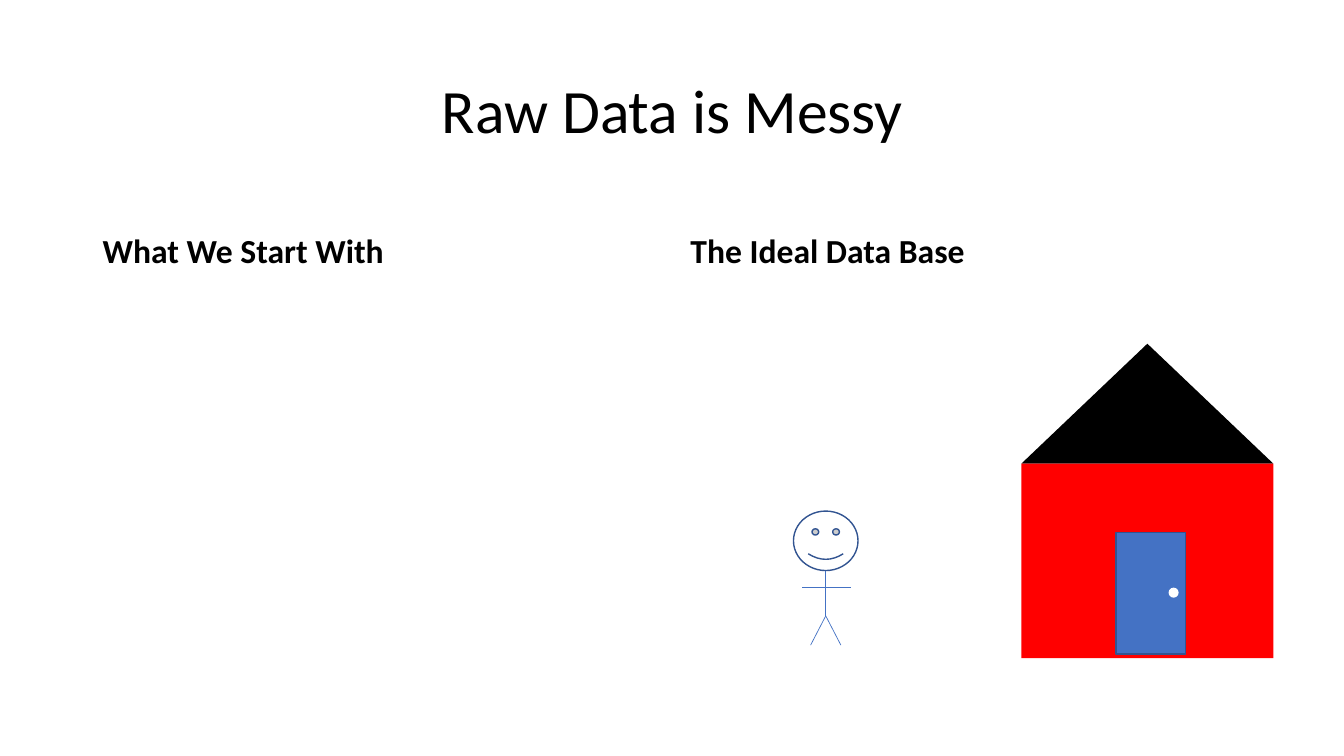
from dataclasses import dataclass

from lxml import etree
from pptx import Presentation
from pptx.dml.color import RGBColor
from pptx.enum.shapes import MSO_CONNECTOR, MSO_SHAPE
from pptx.enum.text import MSO_ANCHOR, MSO_AUTO_SIZE, PP_ALIGN
from pptx.oxml.ns import qn
from pptx.slide import Slide
from pptx.text.text import TextFrame
from pptx.util import Pt

PX = 9144  # EMU per px, 100 px to the inch
TITLE_ONLY = 5
FONT = "Calibri"

BLACK, WHITE, RED = "000000", "FFFFFF", "FF0000"
BLUE, DARK_BLUE = "4472C4", "325491"

STRAIGHT = MSO_CONNECTOR.STRAIGHT
TRIANGLE = MSO_SHAPE.ISOSCELES_TRIANGLE
RECTANGLE = MSO_SHAPE.RECTANGLE
OVAL = MSO_SHAPE.OVAL
SMILEY = MSO_SHAPE.SMILEY_FACE
LEFT, CENTER = PP_ALIGN.LEFT, PP_ALIGN.CENTER
MIDDLE, BOTTOM = MSO_ANCHOR.MIDDLE, MSO_ANCHOR.BOTTOM
NO_AUTOFIT = MSO_AUTO_SIZE.NONE


@dataclass(frozen=True)
class Box:
    left: int
    top: int
    width: int
    height: int

    def emu(self) -> tuple[int, int, int, int]:
        return self.left * PX, self.top * PX, self.width * PX, self.height * PX


@dataclass(frozen=True)
class Part:
    preset: MSO_SHAPE
    box: Box
    fill: str
    outline: str | None = None


@dataclass(frozen=True)
class Limb:
    start: tuple[int, int]
    end: tuple[int, int]


@dataclass(frozen=True)
class Heading:
    text: str
    box: Box


TITLE_BOX = Box(92, 40, 1150, 145)
HEADINGS = [
    Heading("What We Start With", Box(92, 184, 564, 90)),
    Heading("The Ideal Data Base", Box(675, 184, 567, 90)),
]

HOUSE_AND_FACE = [
    Part(TRIANGLE, Box(1013, 341, 250, 119), BLACK),
    Part(RECTANGLE, Box(1013, 460, 250, 193), RED),
    Part(RECTANGLE, Box(1107, 528, 69, 121), BLUE, DARK_BLUE),
    Part(OVAL, Box(1159, 583, 10, 10), WHITE),
    Part(SMILEY, Box(787, 507, 64, 59), WHITE, DARK_BLUE),
]

NECK, HIP = (819, 566), (819, 611)
LIMBS = [
    Limb(NECK, HIP),
    Limb((844, 583), (795, 583)),
    *(Limb(HIP, (HIP[0] + step, 640)) for step in (15, -15)),
]


def rgb(value: str) -> RGBColor:
    return RGBColor.from_string(value)


def write(frame: TextFrame, text: str, size: int, align: PP_ALIGN,
          anchor: MSO_ANCHOR, bold: bool = False, space_before: int = 0) -> None:
    frame.word_wrap = True
    frame.auto_size = NO_AUTOFIT
    frame.vertical_anchor = anchor
    paragraph = frame.paragraphs[0]
    paragraph.alignment = align
    paragraph.line_spacing = 0.9
    paragraph.space_before = Pt(space_before)
    run = paragraph.add_run()
    run.text = text
    run.font.name = FONT
    run.font.size = Pt(size)
    run.font.bold = bold
    run.font.color.rgb = rgb(BLACK)


def add_title(slide: Slide, text: str) -> None:
    title = slide.shapes.title
    title.left, title.top, title.width, title.height = TITLE_BOX.emu()
    write(title.text_frame, text, 44, CENTER, MIDDLE)


def add_heading(slide: Slide, heading: Heading) -> None:
    frame = slide.shapes.add_textbox(*heading.box.emu()).text_frame
    write(frame, heading.text, 24, LEFT, BOTTOM, bold=True, space_before=10)


def add_part(slide: Slide, part: Part) -> None:
    shape = slide.shapes.add_shape(part.preset, *part.box.emu())
    shape.shadow.inherit = False
    shape.fill.solid()
    shape.fill.fore_color.rgb = rgb(part.fill)
    if part.outline is None:
        shape.line.fill.background()
    else:
        shape.line.color.rgb = rgb(part.outline)
        shape.line.width = Pt(1)


def add_limb(slide: Slide, limb: Limb) -> None:
    ends = (value * PX for value in (*limb.start, *limb.end))
    line = slide.shapes.add_connector(STRAIGHT, *ends)
    line.line.color.rgb = rgb(BLUE)
    line.line.width = Pt(0.5)
    etree.SubElement(line._element.spPr, qn("a:effectLst"))


def main() -> None:
    deck = Presentation()
    deck.slide_width, deck.slide_height = 1333 * PX, 750 * PX
    slide = deck.slides.add_slide(deck.slide_layouts[TITLE_ONLY])
    add_title(slide, "Raw Data is Messy")
    for heading in HEADINGS:
        add_heading(slide, heading)
    for part in HOUSE_AND_FACE:
        add_part(slide, part)
    for limb in LIMBS:
        add_limb(slide, limb)
    deck.save("out.pptx")


if __name__ == "__main__":
    main()
